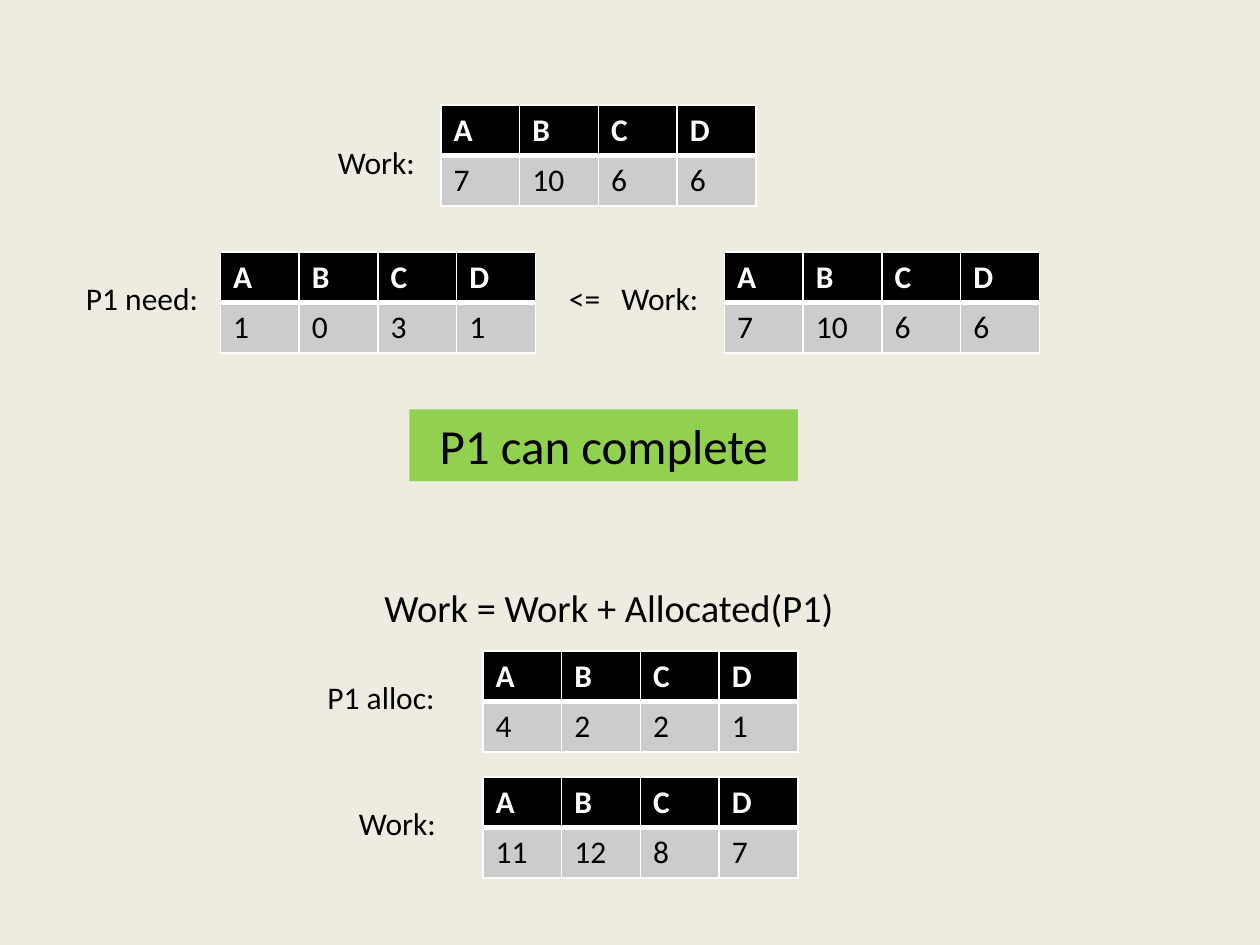
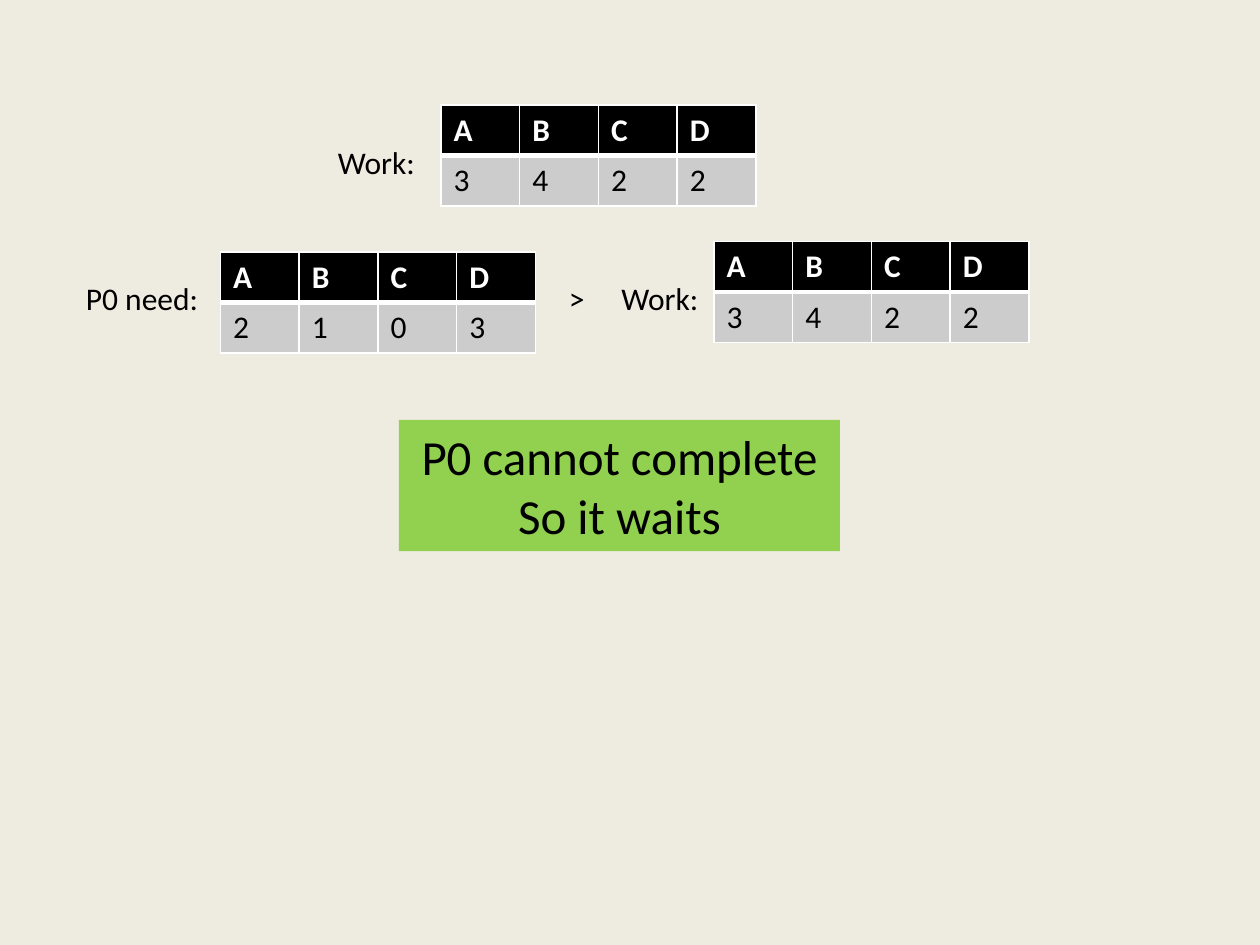
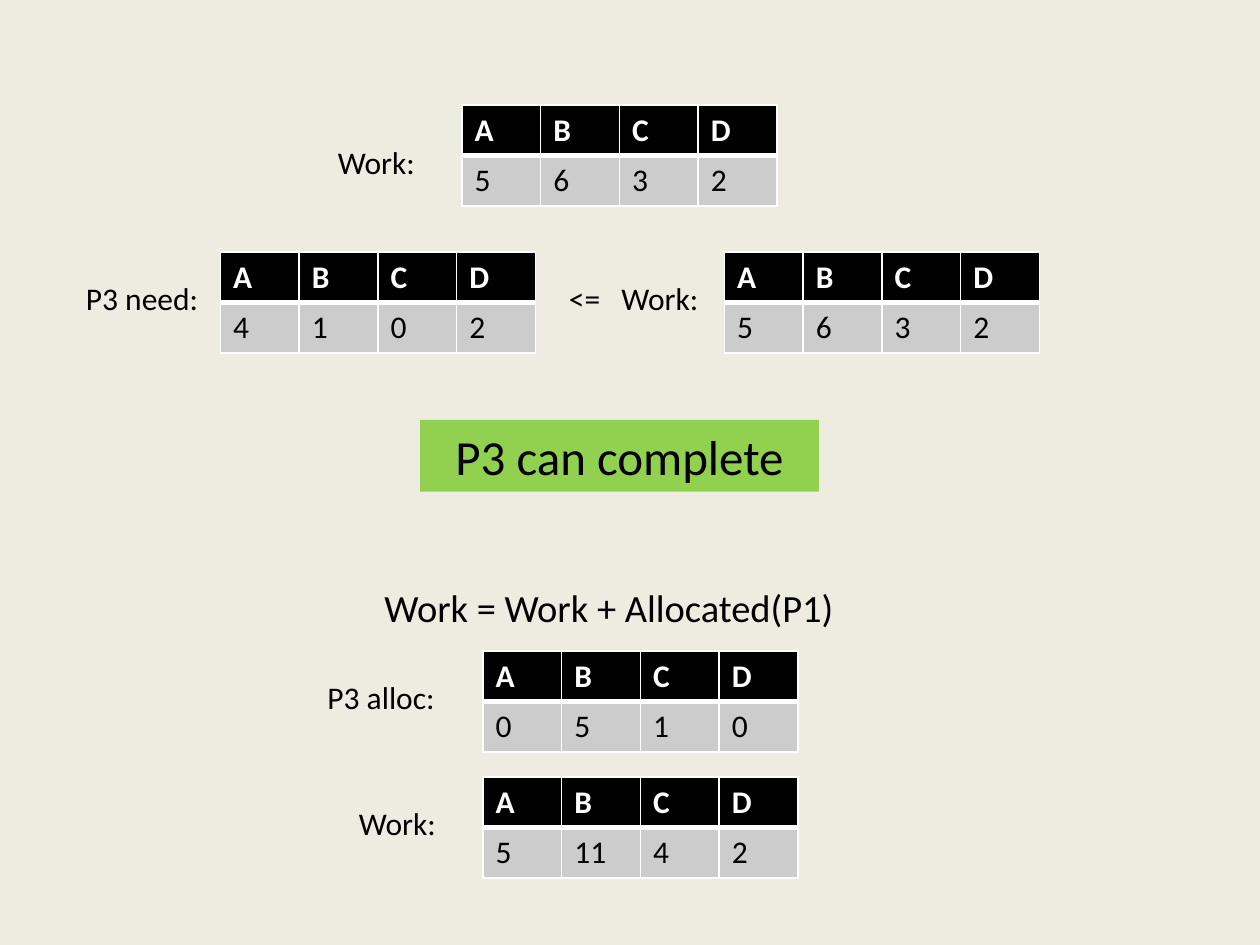
"""Build three slides that step through the Banker's safety check."""
from lxml.etree import SubElement
from pptx import Presentation
from pptx.dml.color import RGBColor
from pptx.enum.shapes import MSO_SHAPE as Shape
from pptx.enum.text import MSO_ANCHOR as Anchor, MSO_AUTO_SIZE as AutoSize, PP_ALIGN as Align
from pptx.oxml.ns import qn
from pptx.util import Pt

BACKGROUND = RGBColor(0xEE, 0xEC, 0xE1)
BLACK = RGBColor(0x00, 0x00, 0x00)
WHITE = RGBColor(0xFF, 0xFF, 0xFF)
GREY = RGBColor(0xCC, 0xCC, 0xCC)
GREEN = RGBColor(0x92, 0xD0, 0x50)

FONT = "Calibri"
RESOURCES = ("A", "B", "C", "D")
COLUMN_WIDTH = 45
ROW_HEIGHT = 28.8
THIN, THICK = 1, 3


def apply_format(target, values):
    """Set each named attribute of the target."""
    for name, value in values.items():
        setattr(target, name, value)


def write_text(frame, text, size, color=BLACK, bold=False, align=Align.LEFT):
    """Fill a text frame with one formatted paragraph per line."""
    for index, line in enumerate(text.split("\n")):
        para = frame.add_paragraph() if index else frame.paragraphs[0]
        para.alignment = align
        span = para.add_run()
        span.text = line
        apply_format(span.font, {"name": FONT, "size": Pt(size), "bold": bold})
        span.font.color.rgb = color


def add_label(page, text, left, top, width, height=28.8, size=18, align=Align.LEFT):
    """Add a plain text box."""
    box = page.shapes.add_textbox(Pt(left), Pt(top), Pt(width), Pt(height))
    apply_format(box.text_frame, {"word_wrap": True, "auto_size": AutoSize.SHAPE_TO_FIT_TEXT})
    write_text(box.text_frame, text, size, align=align)


def add_verdict(page, text, left, top, width, height):
    """Add the green box that states the result of the comparison."""
    box = page.shapes.add_shape(Shape.RECTANGLE, Pt(left), Pt(top), Pt(width), Pt(height))
    box.shadow.inherit = False
    box.fill.solid()
    box.fill.fore_color.rgb = GREEN
    box.line.fill.background()
    apply_format(box.text_frame, {"word_wrap": True, "vertical_anchor": Anchor.MIDDLE})
    write_text(box.text_frame, text, 28, align=Align.CENTER)


def add_borders(cell, top, bottom):
    """Draw white borders around a cell."""
    properties = cell._tc.get_or_add_tcPr()
    for side, width in (("L", THIN), ("R", THIN), ("T", top), ("B", bottom)):
        line = SubElement(properties, qn(f"a:ln{side}"), w=str(Pt(width)))
        fill = SubElement(line, qn("a:solidFill"))
        SubElement(fill, qn("a:srgbClr"), val=str(WHITE))


def add_vector(page, values, left, top):
    """Add a table with one value for each resource."""
    frame = page.shapes.add_table(2, len(RESOURCES), Pt(left), Pt(top),
                                  Pt(COLUMN_WIDTH * len(RESOURCES)), Pt(2 * ROW_HEIGHT))
    table = frame.table
    table.horz_banding = False
    rows = ((RESOURCES, BLACK, WHITE, True, THIN, THICK),
            (values, GREY, BLACK, False, THICK, THIN))
    for row, (entries, fill, color, bold, upper, lower) in enumerate(rows):
        table.rows[row].height = Pt(ROW_HEIGHT)
        for column, entry in enumerate(entries):
            cell = table.cell(row, column)
            add_borders(cell, upper, lower)
            cell.fill.solid()
            cell.fill.fore_color.rgb = fill
            write_text(cell.text_frame, str(entry), 18, color, bold)


def add_comparison(deck, process, work, need, sign, work_left=252, right_at=(414, 144)):
    """Add a slide that compares the need of a process with the work vector."""
    page = deck.slides.add_slide(deck.slide_layouts[6])
    add_label(page, "Work:", 186, 78, 60)
    add_vector(page, work, work_left, 60)
    add_label(page, f"{process} need:", 42, 156, 84)
    add_vector(page, need, 126, 144)
    add_label(page, sign, 318, 156, 36)
    add_label(page, "Work:", 348, 156, 60)
    add_vector(page, work, *right_at)
    return page


def add_release(page, process, allocated, work):
    """Add the step that returns the allocation to the work vector."""
    add_label(page, "Work = Work + Allocated(P1)", 192, 330, 312, 34, 22, Align.CENTER)
    add_label(page, f"{process} alloc:", 180, 384, 84)
    add_vector(page, allocated, 276, 372)
    add_label(page, "Work:", 198, 456, 60)
    add_vector(page, work, 276, 444)


def main():
    """Build and save the deck."""
    deck = Presentation()
    apply_format(deck, {"slide_width": Pt(720), "slide_height": Pt(540)})
    background = deck.slide_master.background.fill
    background.solid()
    background.fore_color.rgb = BACKGROUND

    page = add_comparison(deck, "P1", (7, 10, 6, 6), (1, 0, 3, 1), "<=")
    add_verdict(page, "P1 can complete", 234, 234, 222, 41)
    add_release(page, "P1", (4, 2, 2, 1), (11, 12, 8, 7))

    page = add_comparison(deck, "P0", (3, 4, 2, 2), (2, 1, 0, 3), ">", right_at=(408, 138))
    add_verdict(page, "P0 cannot complete\nSo it waits", 228, 240, 252, 75)

    page = add_comparison(deck, "P3", (5, 6, 3, 2), (4, 1, 0, 2), "<=", work_left=264)
    add_verdict(page, "P3 can complete", 240, 240, 228, 41)
    add_release(page, "P3", (0, 5, 1, 0), (5, 11, 4, 2))

    deck.save("out.pptx")


if __name__ == "__main__":
    main()
